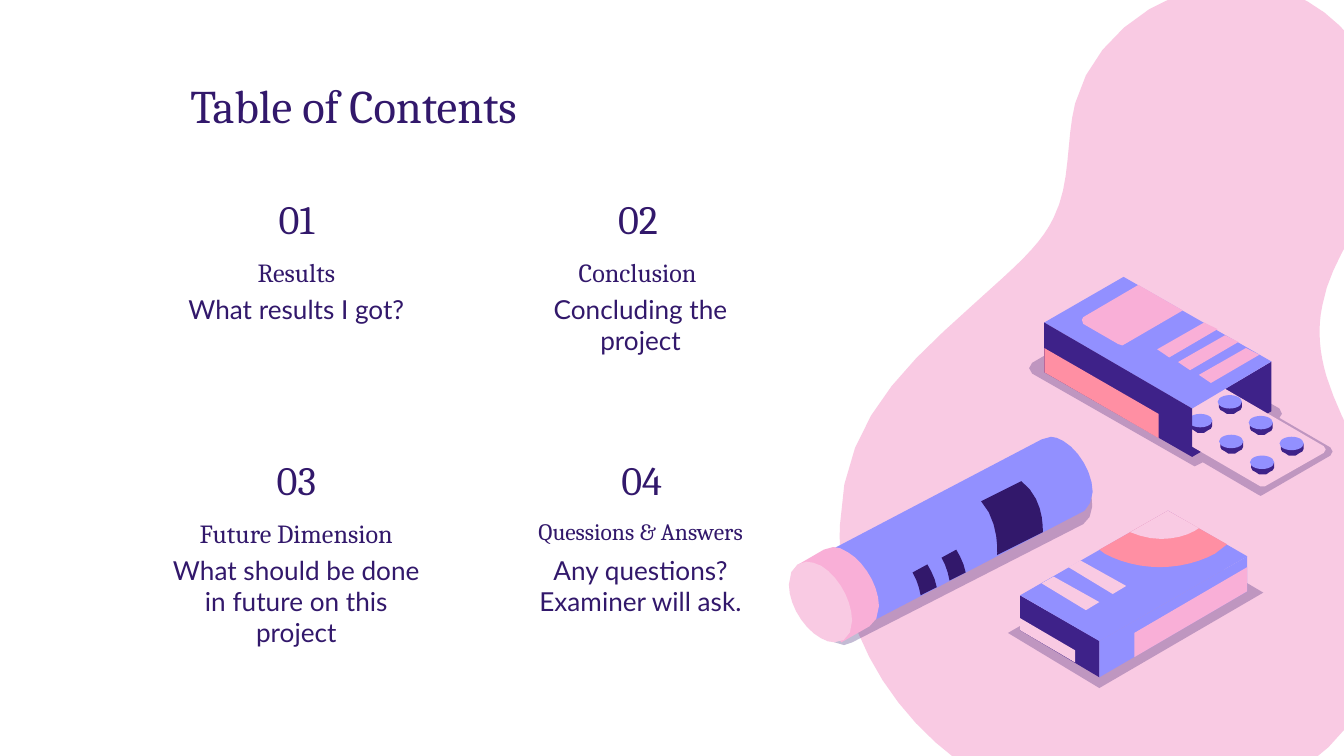
from math import dist

from lxml import etree
from pptx import Presentation
from pptx.dml.color import RGBColor
from pptx.enum.shapes import MSO_SHAPE
from pptx.enum.text import MSO_ANCHOR, PP_ALIGN
from pptx.oxml.ns import qn
from pptx.util import Pt

OVAL = MSO_SHAPE.OVAL
LEFT, CENTER = PP_ALIGN.LEFT, PP_ALIGN.CENTER
TOP, BOTTOM = MSO_ANCHOR.TOP, MSO_ANCHOR.BOTTOM

INK, INDIGO, VIOLET = "32186B", "3E2289", "9290FF"
BLUSH, PINK, CORAL = "F9CAE3", "F9AFD7", "FF8FA3"
HEADING_FONT, BODY_FONT = "Cambria", "Lato"
SHADE_PERCENT = 29
GRID = 0.72  # points per unit of the outlines
STEP_LENGTH, MOST_STEPS = 7, 8  # how finely curves are cut

# An outline lists corner points; C marks a Bézier curve given by three points.
BLOB = """32,452 C 47,503 82,548 129,577 C 192,614 276,621 343,588
    C 410,555 455,479 441,409 C 440,405 439,401 438,397
    C 426,357 399,319 387,280 C 382,263 380,245 384,227
    C 390,192 418,162 428,127 C 433,108 433,88 428,70
    C 416,32 385,-1 344,-10 C 284,-23 215,19 200,77
    C 193,105 197,136 184,162 C 176,179 161,193 147,206
    C 85,263 27,304 25,391 C 24,412 27,432 32,452"""

PACK_SHADOW = """80,35 78,35 18,70 C 15,72 15,76 18,78 137,146
    139,147 141,146 145,144 186,168 188,169 190,168
    240,139 C 242,138 242,134 240,133 202,111 C 205,110 204,106 202,104 82,35"""
PACK_INSIDE = "196,69 137,104 137,140 196,106"
PACK_TRAY = """146,82 102,107 C 100,108 100,111 102,112 188,162
    191,162 235,137 C 237,136 237,133 235,132 149,82"""
PILL_SIDE = "1,5 1,9 2,11 4,12 7,14 12,14 15,12 17,11 18,9 18,5"
PACK_TOP = "86,6 27,40 137,104 196,69"
PACK_LABEL = "97,12 56,36 55,38 56,41 82,56 85,57 87,56 130,31"
PACK_STRIPE = "177,59 142,79 151,85 187,64"
PACK_SIDE = "27,40 27,77 137,140 137,104"
PACK_BAND = "27,59 27,77 112,126 112,108"

CARTON_SHADOW = "122,51 0,121 68,162 190,91"
CARTON_END = "9,93 9,119 68,154 68,127"
CARTON_END_BAND = "9,110 9,119 50,143 50,134"
CARTON_TOP = "119,30 9,93 68,127 178,64"
CARTON_STRIPE = "34,79 25,84 58,104 68,98"
CARTON_SIDE = "178,64 68,127 68,154 178,90"
CARTON_SIDE_BAND = "178,72 94,121 94,139 178,90"
CARTON_ARC = """119,30 68,59 72,62 C 83,68 98,72 113,72
    C 128,72 143,68 154,62 163,55"""
CARTON_TIP = "119,30 91,46 C 98,49 106,51 114,51 C 123,51 132,49 139,45 142,43"

TUBE_SHADOW = """231,35 225,37 55,124 C 48,128 46,137 49,144 65,172
    C 68,177 73,180 78,180 84,178 256,90 C 262,86 264,78 262,67
    C 259,58 255,50 248,43 C 242,38 236,35 231,35"""
TUBE_BODY = """232,25 225,27 61,113 90,167 257,80
    C 260,77 263,72 263,66 C 263,52 253,35 241,28 C 238,26 234,25 232,25"""
TUBE_MARK = """140,120 129,126 C 132,131 134,137 135,143 147,137
    C 146,131 143,125 140,120"""
TUBE_LABEL = "210,58 180,73 C 194,88 192,113 192,113 226,96 C 226,87 225,70 210,58"
TUBE_CAP = """70,107 63,109 44,120 76,178 97,166
    C 101,164 104,158 104,151 C 104,136 93,118 81,111 C 77,108 73,107 70,107"""
TUBE_LID = """50,118 C 43,118 37,124 37,135 C 37,150 48,168 61,175
    C 64,177 68,178 71,178 C 79,178 84,172 84,162 C 84,147 74,129 61,121
    C 57,119 53,118 50,118"""

# Number, its offset in the entry, heading, heading size, description
ENTRIES = [
    ("01", 45.4, "Results", 14, "What results I got?"),
    ("02", 44, "Conclusion ", 14, "Concluding the project"),
    ("03", 45.4, "Future Dimension", 14, "What should be done in future on this project"),
    ("04", 46, "Quessions & Answers", 12.6, "Any questions? Examiner will ask."),
]


def color(value):
    return RGBColor.from_string(value)


def pair(token):
    x, y = token.split(",")
    return float(x), float(y)


def trace(outline):
    """Return the points of an outline, with its curves cut into short lines."""
    points = []
    tokens = iter(outline.split())
    for token in tokens:
        if token != "C":
            points.append(pair(token))
            continue
        knots = [points[-1]] + [pair(next(tokens)) for _ in range(3)]
        steps = min(MOST_STEPS, max(2, round(dist(knots[0], knots[3]) / STEP_LENGTH)))
        for step in range(1, steps + 1):
            t = step / steps
            weights = ((1 - t) ** 3, 3 * t * (1 - t) ** 2, 3 * t * t * (1 - t), t ** 3)
            points.append(tuple(sum(w * knot[axis] for w, knot in zip(weights, knots))
                                for axis in (0, 1)))
    return points


def finish(shape, fill):
    shape.shadow.inherit = False
    shape.line.fill.background()
    shape.fill.solid()
    shape.fill.fore_color.rgb = color(fill)


def paint(shapes, box, outline, fill, shift=(0, 0)):
    points = [(Pt((x + shift[0]) * GRID), Pt((y + shift[1]) * GRID))
              for x, y in trace(outline)]
    builder = shapes.build_freeform(*points[0], scale=1.0)
    builder.add_line_segments(points[1:], close=True)
    shape = builder.convert_to_shape(Pt(box[0]), Pt(box[1]))
    finish(shape, fill)
    return shape


def paint_shadow(shapes, box, outline):
    shape = paint(shapes, box, outline, INK)
    tint = next(shape.fill._xPr.iter(qn("a:srgbClr")))
    etree.SubElement(tint, qn("a:alpha")).set("val", str(SHADE_PERCENT * 1000))


def repeat(shapes, box, outline, fill, count, step):
    for index in range(count):
        paint(shapes, box, outline, fill, (index * step[0], index * step[1]))


def add_pill(shapes, box, spot):
    paint(shapes, box, PILL_SIDE, INDIGO, spot)
    left, top = (start + place * GRID for start, place in zip(box, spot))
    finish(shapes.add_shape(OVAL, Pt(left), Pt(top), Pt(13), Pt(7.2)), VIOLET)


def add_pill_pack(page, box):
    shapes = page.shapes.add_group_shape().shapes
    paint_shadow(shapes, box, PACK_SHADOW)
    paint(shapes, box, PACK_INSIDE, INDIGO)
    paint(shapes, box, PACK_TRAY, BLUSH)
    for along in range(3):
        for across in range(2):
            add_pill(shapes, box, (156 + 23 * along - 22 * across,
                                   94 + 15.5 * along + 14 * across))
    paint(shapes, box, PACK_TOP, VIOLET)
    paint(shapes, box, PACK_LABEL, PINK)
    repeat(shapes, box, PACK_STRIPE, PINK, 3, (-15.5, -9.5))
    paint(shapes, box, PACK_SIDE, INDIGO)
    paint(shapes, box, PACK_BAND, CORAL)


def add_carton(page, box):
    shapes = page.shapes.add_group_shape().shapes
    paint_shadow(shapes, box, CARTON_SHADOW)
    paint(shapes, box, CARTON_END, INDIGO)
    paint(shapes, box, CARTON_END_BAND, BLUSH)
    paint(shapes, box, CARTON_TOP, VIOLET)
    repeat(shapes, box, CARTON_STRIPE, BLUSH, 2, (20, -12))
    for outline, fill in ((CARTON_SIDE, VIOLET), (CARTON_SIDE_BAND, PINK),
                          (CARTON_ARC, CORAL), (CARTON_TIP, BLUSH)):
        paint(shapes, box, outline, fill)


def add_tube(page, box):
    shapes = page.shapes.add_group_shape().shapes
    paint_shadow(shapes, box, TUBE_SHADOW)
    paint(shapes, box, TUBE_BODY, VIOLET)
    repeat(shapes, box, TUBE_MARK, INK, 2, (21.5, -11))
    for outline, fill in ((TUBE_LABEL, INK), (TUBE_CAP, PINK), (TUBE_LID, BLUSH)):
        paint(shapes, box, outline, fill)


def add_text(page, box, text, size, font=HEADING_FONT, align=CENTER, anchor=TOP):
    frame = page.shapes.add_textbox(*map(Pt, box)).text_frame
    margins = {f"margin_{side}": Pt(7.2) for side in ("left", "top", "right", "bottom")}
    for name, value in {"word_wrap": True, "vertical_anchor": anchor, **margins}.items():
        setattr(frame, name, value)
    para = frame.paragraphs[0]
    para.alignment = align
    span = para.add_run()
    span.text = text
    for name, value in {"name": font, "size": Pt(size)}.items():
        setattr(span.font, name, value)
    span.font.color.rgb = color(INK)


def add_entry(page, box, number, number_offset, heading, heading_size, description):
    left, top, width = box
    add_text(page, (left + number_offset, top, 68.4, 37.4), number, 21.6, anchor=BOTTOM)
    add_text(page, (left, top + 30.2, width, 37.4), heading, heading_size)
    add_text(page, (left + 5.5, top + 50, width - 11, 40.3), description, 14, BODY_FONT)


deck = Presentation()
deck.slide_width, deck.slide_height = Pt(720), Pt(405)
page = deck.slides.add_slide(deck.slide_layouts[6])
paint(page.shapes, (432, 0), BLOB, BLUSH)
for index, entry in enumerate(ENTRIES):
    row, column = divmod(index, 2)
    add_entry(page, (79.2 + 184.4 * column, 100 + 139.6 * row, 159.2), *entry)
add_text(page, (95, 33.8, 530.6, 45.4), "Table of Contents", 25, align=LEFT)
add_pill_pack(page, (540, 144))
add_carton(page, (540, 252))
add_tube(page, (396, 216))
deck.save("out.pptx")
